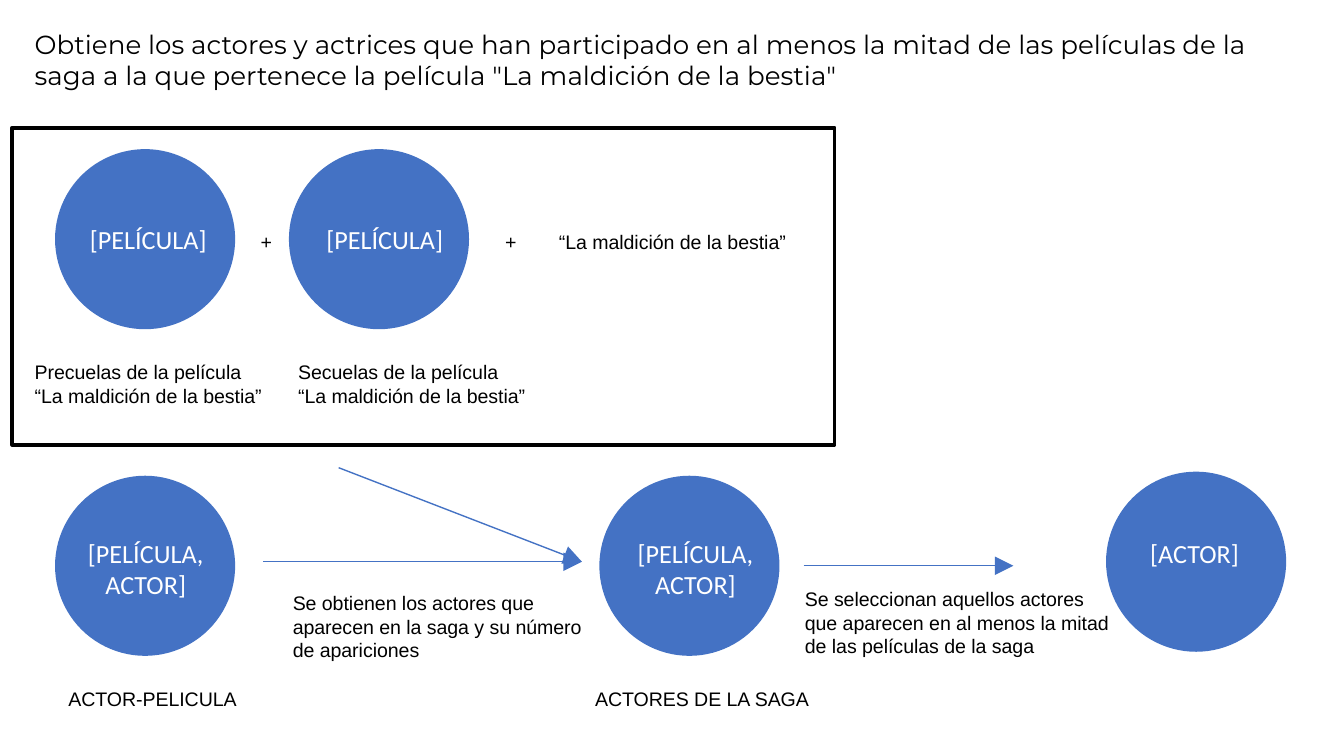
from lxml.etree import SubElement
from pptx import Presentation
from pptx.dml.color import RGBColor
from pptx.enum.shapes import MSO_CONNECTOR as CONN, MSO_SHAPE as SHAPE
from pptx.enum.text import PP_ALIGN as ALIGN
from pptx.oxml.ns import qn
from pptx.util import Inches, Pt

COLS, ROWS = 100, 56.25  # square cells
CELL = Inches(10) / COLS
BLUE, BLACK, WHITE = "4472C4", "000000", "FFFFFF"
DIAMETER = 13.4
LEFT_COL, MID_COL = 4.1, 44.6
TOP_ROW, LOW_ROW = 11.1, 35.4
FILM = "“La maldición de la bestia”"


def grid(*cells):
    return [round(c * CELL) for c in cells]


def color(hex_text):
    return RGBColor.from_string(hex_text)


def add_text(s, lines, x, y, w, h, size=10.5, font="Arial", ink=BLACK, align=ALIGN.LEFT):
    tf = s.shapes.add_textbox(*grid(x, y, w, h)).text_frame
    tf.word_wrap = True
    tf.text = "\n".join(lines)
    for p in tf.paragraphs:
        p.alignment = align
        p.font.size, p.font.name = Pt(size), font
        p.font.color.rgb = color(ink)


def add_circle(s, x, y, lines, label_box):
    sp = s.shapes.add_shape(SHAPE.OVAL, *grid(x, y, DIAMETER, DIAMETER))
    sp.shadow.inherit = False
    sp.fill.solid()
    sp.fill.fore_color.rgb = color(BLUE)
    sp.line.fill.background()
    align = ALIGN.CENTER if len(lines) > 1 else ALIGN.LEFT
    add_text(s, lines, *label_box, 14, "Calibri", WHITE, align)


def add_frame(s, x, y, w, h):
    sp = s.shapes.add_shape(SHAPE.RECTANGLE, *grid(x, y, w, h))
    sp.shadow.inherit = False
    sp.fill.background()
    sp.line.color.rgb = color(BLACK)
    sp.line.width = Pt(2)


def add_arrow(s, x1, y1, x2, y2):
    arrow = s.shapes.add_connector(CONN.STRAIGHT, *grid(x1, y1, x2, y2))
    arrow.line.color.rgb = color(BLUE)
    arrow.line.width = Pt(0.75)
    SubElement(arrow.line._get_or_add_ln(), qn("a:tailEnd"), type="triangle", w="lg", len="lg")
    SubElement(arrow._element.spPr, qn("a:effectLst"))


def add_saga(s):
    """Frame with the prequels, the sequels and the film itself."""
    add_frame(s, 0.9, 9.5, 61.2, 23.6)
    parts = [("Precuelas", LEFT_COL, 5.7, 1.6), ("Secuelas", 21.5, 23.3, 21.2)]
    for kind, x, label_x, note_x in parts:
        add_circle(s, x, TOP_ROW, ["[PELÍCULA]"], (label_x, 16.1, 10.8, 3.4))
        add_text(s, [f"{kind} de la película", FILM], note_x, 26.3, 19.3, 4.5)
    for x in (18.4, 36.6):
        add_text(s, ["+"], x, 16.6, 2.9, 2.8)
    add_text(s, [FILM], 40.6, 16.6, 19.3, 2.8)


def add_actor_flow(s):
    """Lower row, from every pairing to the selected actors."""
    stages = [(LEFT_COL, 5.5, "ACTOR-PELICULA", 4.1, 14.8),
              (MID_COL, 46.4, "ACTORES DE LA SAGA", 43.3, 18.3)]
    for x, label_x, name, name_x, name_w in stages:
        add_circle(s, x, LOW_ROW, ["[PELÍCULA,", "ACTOR]"], (label_x, 39.5, 10.7, 8.1))
        add_text(s, [name], name_x, 50.65, name_w, 2.8)
    add_circle(s, 82.3, 35.1, ["[ACTOR]"], (84.6, 39.5, 8.7, 5.7))

    add_arrow(s, 25.2, 34.8, 43.3, 41.8)
    add_arrow(s, 19.6, 41.8, 43.3, 41.8)
    add_arrow(s, 59.8, 42.1, 75.4, 42.1)
    add_text(s, ["Se obtienen los actores que", "aparecen en la saga y su número",
                 "de apariciones"], 20.8, 43.5, 23.9, 6.3)
    add_text(s, ["Se seleccionan aquellos actores", "que aparecen en al menos la mitad",
                 "de las películas de la saga"], 58.9, 43.2, 25.1, 6.3)


def main():
    prs = Presentation()
    prs.slide_width, prs.slide_height = grid(COLS, ROWS)
    s = prs.slides.add_slide(prs.slide_layouts[6])
    add_text(s, ["Obtiene los actores y actrices que han participado en al menos la mitad "
                 "de las películas de la saga a la que pertenece la película "
                 '"La maldición de la bestia"'], 1.6, 1.6, 96.7, 7.1, 14, "Montserrat")
    add_saga(s)
    add_actor_flow(s)
    prs.save("out.pptx")


if __name__ == "__main__":
    main()
